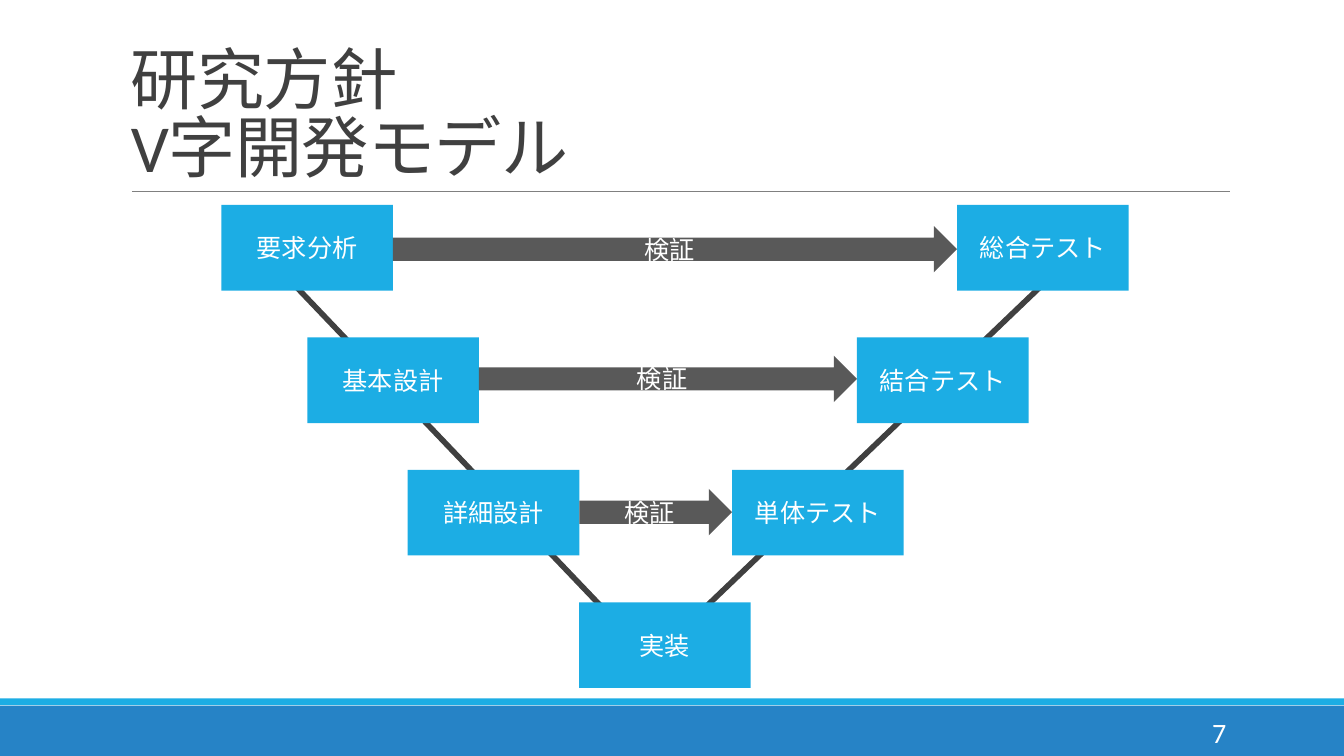
from dataclasses import dataclass

from lxml.etree import SubElement
from pptx import Presentation
from pptx.dml.color import RGBColor
from pptx.enum.shapes import MSO_CONNECTOR, MSO_SHAPE
from pptx.enum.text import MSO_ANCHOR, PP_ALIGN
from pptx.oxml.ns import qn
from pptx.util import Pt


@dataclass(frozen=True)
class Theme:
    font: str = "Calibri"
    box: str = "1CADE4"
    band: str = "2683C6"
    arrow: str = "595959"
    dark: str = "404040"
    rule: str = "808080"
    white: str = "FFFFFF"
    title: int = 48
    label: int = 18
    page: int = 20


THEME = Theme()
BOX_W, BOX_H = 122.6, 61.2
TOP, STEP = 146.4, 94.6
ARROW_H = 33.1

# Left box, its x, right box, its x, top of the arrow between
LEVELS = [
    ("要求分析", 158.1, "総合テスト", 683.6, 161.5),
    ("基本設計", 219.5, "結合テスト", 612.1, 254.1),
    ("詳細設計", 291.2, "単体テスト", 522.9, 349.3),
]


def add_run(para, text, size, color):
    run = para.add_run()
    run.text = text
    run.font.name = THEME.font
    run.font.size = Pt(size)
    run.font.color.rgb = RGBColor.from_string(color)
    return run


def add_block(slide, kind, area, fill, text=""):
    block = slide.shapes.add_shape(kind, *map(Pt, area))
    block.shadow.inherit = False
    block.fill.solid()
    block.fill.fore_color.rgb = RGBColor.from_string(fill)
    block.line.fill.background()
    if text:
        frame = block.text_frame
        frame.vertical_anchor = MSO_ANCHOR.MIDDLE
        para = frame.paragraphs[0]
        para.alignment = PP_ALIGN.CENTER
        add_run(para, text, THEME.label, THEME.white)
    return block


def add_line(slide, ends, color, width):
    line = slide.shapes.add_connector(MSO_CONNECTOR.STRAIGHT, *map(Pt, ends))
    line.line.color.rgb = RGBColor.from_string(color)
    line.line.width = Pt(width)
    SubElement(line._element.spPr, qn("a:effectLst"))


def add_text(slide, area, anchor):
    frame = slide.shapes.add_textbox(*map(Pt, area)).text_frame
    frame.word_wrap = True
    frame.vertical_anchor = anchor
    return frame.paragraphs[0]


def add_title(slide, lines):
    para = add_text(slide, (86.4, 22.4, 792, 114.2), MSO_ANCHOR.BOTTOM)
    para.line_spacing = 0.85
    for i, text in enumerate(lines):
        if i:
            para.add_line_break()
        run = add_run(para, text, THEME.title, THEME.dark)
        run.font._element.set("spc", "-50")


def add_model(slide):
    # Strokes of the V
    add_line(slide, (498.2, 439.2, 763.9, 185), THEME.dark, 4)
    add_line(slide, (201.6, 194.4, 455.8, 460.8), THEME.dark, 4)

    # Design steps, their tests and the checks between
    for row, (step, left, test, right, top) in enumerate(LEVELS):
        y = TOP + row * STEP
        for text, x in ((step, left), (test, right)):
            add_block(slide, MSO_SHAPE.RECTANGLE, (x, y, BOX_W, BOX_H),
                      THEME.box, text)
        start = left + BOX_W
        add_block(slide, MSO_SHAPE.RIGHT_ARROW,
                  (start, top, right - start, ARROW_H), THEME.arrow, "検証")

    # Foot of the V
    add_block(slide, MSO_SHAPE.RECTANGLE,
              (413.6, TOP + len(LEVELS) * STEP, BOX_W, BOX_H),
              THEME.box, "実装")


def main():
    deck = Presentation()
    deck.slide_width, deck.slide_height = Pt(960), Pt(540)
    slide = deck.slides.add_slide(deck.slide_layouts[6])

    # Footer bands and title rule
    add_block(slide, MSO_SHAPE.RECTANGLE, (0, 504, 960, 36), THEME.band)
    add_block(slide, MSO_SHAPE.RECTANGLE, (0, 498.8, 960, 5), THEME.box)
    add_line(slide, (94.3, 136.7, 878.8, 136.7), THEME.rule, 0.5)

    add_title(slide, ["研究方針", "V字開発モデル"])

    # Page number
    para = add_text(slide, (779.8, 508.6, 103.3, 28.8), MSO_ANCHOR.MIDDLE)
    para.alignment = PP_ALIGN.RIGHT
    add_run(para, "7", THEME.page, THEME.white)

    add_model(slide)
    deck.save("out.pptx")


if __name__ == "__main__":
    main()
